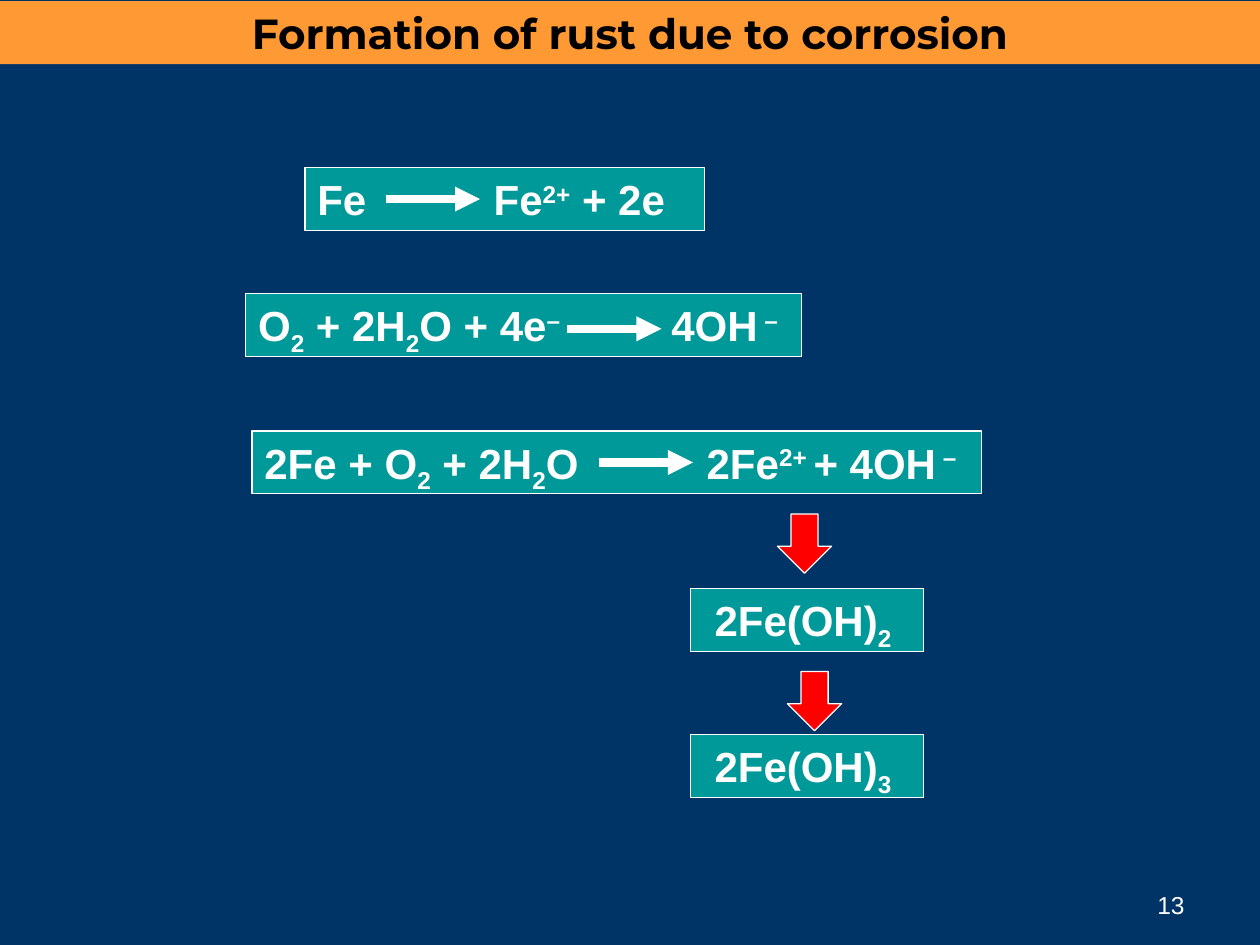
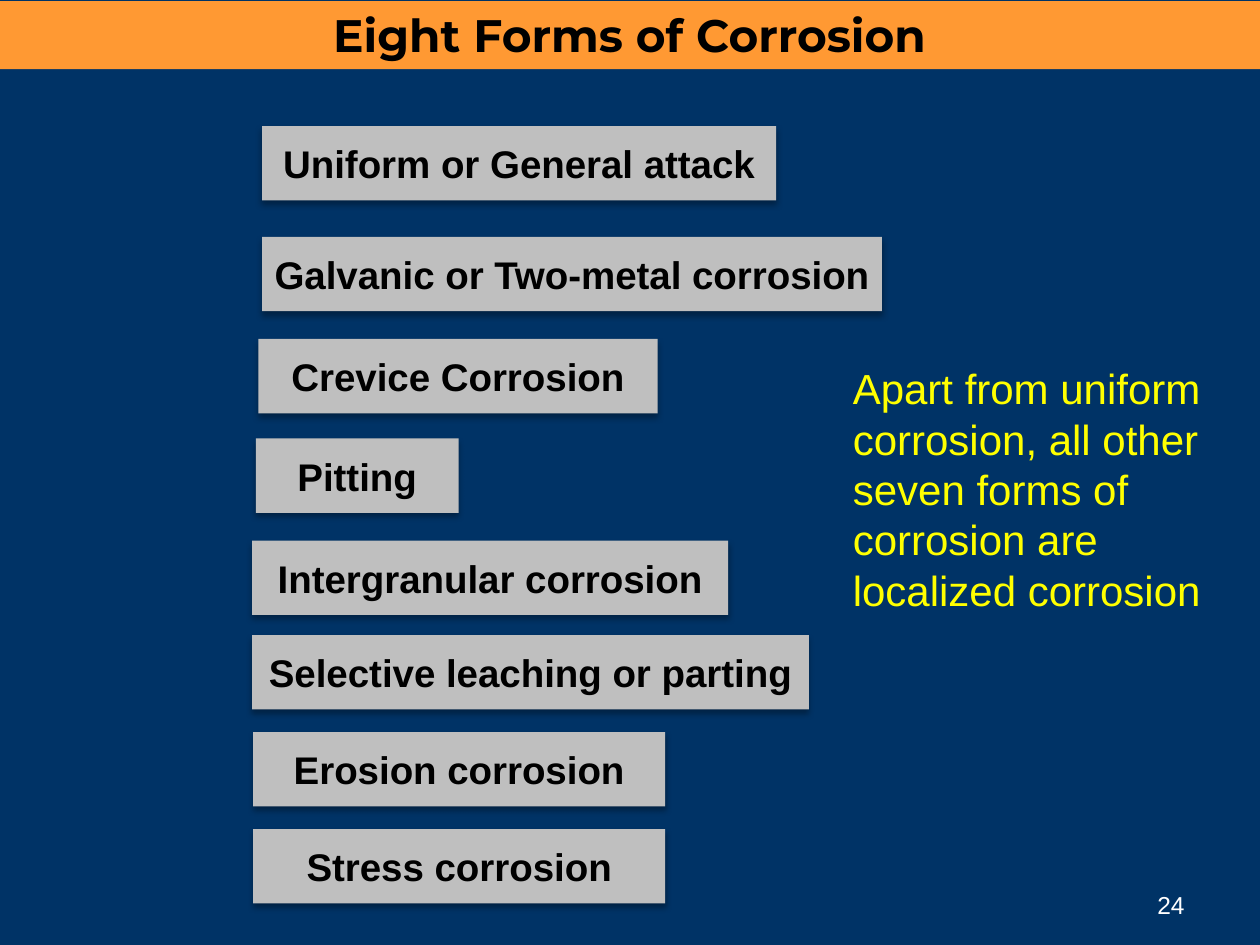
from lxml import etree
from pptx import Presentation
from pptx import util as u
from pptx.dml.color import RGBColor
from pptx.enum import shapes, text
from pptx.oxml import ns

NAVY = RGBColor(0x00, 0x33, 0x66)
ORANGE = RGBColor(0xFF, 0x99, 0x33)
TEAL = RGBColor(0x00, 0x99, 0x99)
RED = RGBColor(0xFF, 0x00, 0x00)
GREY = RGBColor(0xBF, 0xBF, 0xBF)
YELLOW = RGBColor(0xFF, 0xFF, 0x00)
WHITE = RGBColor(0xFF, 0xFF, 0xFF)
BLACK = RGBColor(0x00, 0x00, 0x00)

SUP, SUB = 30, -25
LEFT, CENTER, RIGHT = text.PP_ALIGN.LEFT, text.PP_ALIGN.CENTER, text.PP_ALIGN.RIGHT
TOP, MIDDLE, BOTTOM = text.MSO_ANCHOR.TOP, text.MSO_ANCHOR.MIDDLE, text.MSO_ANCHOR.BOTTOM


def add_block(page, kind, left, top, width, height, fill, line=None):
    """Add a filled preset shape without shadow; line is an outline colour."""
    block = page.shapes.add_shape(kind, u.Inches(left), u.Inches(top),
                                  u.Inches(width), u.Inches(height))
    block.shadow.inherit = False
    block.fill.solid()
    block.fill.fore_color.rgb = fill
    if line is None:
        block.line.fill.background()
    else:
        block.line.color.rgb = line
        block.line.width = u.Pt(0.75)
    return block


def write(box, spans, size, color, bold=True, font="Arial", align=LEFT, anchor=TOP):
    """Write one paragraph; each span is (words, baseline in percent)."""
    frame = box.text_frame
    frame.word_wrap = True
    frame.vertical_anchor = anchor
    para = frame.paragraphs[0]
    para.alignment = align
    for words, baseline in spans:
        span = para.add_run()
        span.text = words
        span.font.name = font
        span.font.size = u.Pt(size)
        span.font.bold = bold
        span.font.color.rgb = color
        if baseline:
            span.font._element.set("baseline", str(baseline * 1000))
    return para


deck = Presentation()
deck.slide_width, deck.slide_height = u.Inches(10), u.Inches(7.5)
RECT = shapes.MSO_SHAPE.RECTANGLE

# Shared look: background, page number, title band
pages = []
for title, size, band_height, number in (
        ("Formation of rust due to corrosion", 24, 0.5, "13"),
        ("Eight Forms of Corrosion", 26, 0.54, "24")):
    page = deck.slides.add_slide(deck.slide_layouts[6])
    page.background.fill.solid()
    page.background.fill.fore_color.rgb = NAVY
    number_box = page.shapes.add_textbox(u.Inches(7.17), u.Inches(6.83),
                                         u.Inches(2.33), u.Inches(0.52))
    write(number_box, [(number, 0)], 14, WHITE, bold=False, align=RIGHT, anchor=BOTTOM)
    band = add_block(page, RECT, 0, 0.01, 10, band_height, ORANGE)
    write(band, [(title, 0)], size, BLACK, font="Montserrat", align=CENTER)
    pages.append(page)
rust, forms = pages

# Reactions: left, top, width, tab stop after the arrow, arrow start, spans
reactions = [
    (2.42, 1.33, 3.17, 1.4, (3.06, 1.58),
     [("Fe\tFe", 0), ("2+", SUP), (" + 2e", 0)]),
    (1.95, 2.33, 4.41, 3.28, (4.5, 2.61),
     [("O", 0), ("2", SUB), (" + 2H", 0), ("2", SUB), ("O + 4e", 0), ("–", SUP),
      ("\t4OH", 0), (" –", SUP)]),
    (2, 3.42, 5.79, 3.51, (4.75, 3.67),
     [("2Fe + O", 0), ("2", SUB), (" + 2H", 0), ("2", SUB), ("O\t2Fe", 0),
      ("2+ ", SUP), ("+ 4OH", 0), (" –", SUP)]),
]
for left, top, width, tab, (start, middle), spans in reactions:
    box = add_block(rust, RECT, left, top, width, 0.5, TEAL, WHITE)
    para = write(box, spans, 24, WHITE)
    tabs = etree.SubElement(para._p.get_or_add_pPr(), ns.qn("a:tabLst"))
    etree.SubElement(tabs, ns.qn("a:tab"), pos=str(u.Inches(tab)), algn="l")

    arrow = rust.shapes.add_connector(
        shapes.MSO_CONNECTOR.STRAIGHT, u.Inches(start), u.Inches(middle),
        u.Inches(start + 0.75), u.Inches(middle))
    arrow.line.color.rgb = WHITE
    arrow.line.width = u.Pt(4.75)
    etree.SubElement(arrow.line._get_or_add_ln(), ns.qn("a:tailEnd"), type="triangle")
    etree.SubElement(arrow._element.spPr, ns.qn("a:effectLst"))

# Hydroxides, each below a red arrow
for top, count, arrow_left, arrow_top in ((4.67, "2", 6.15, 4.1), (5.83, "3", 6.23, 5.35)):
    box = add_block(rust, RECT, 5.48, top, 1.85, 0.5, TEAL, WHITE)
    write(box, [(" 2Fe(OH)", 0), (count, SUB)], 24, WHITE)
    down = add_block(rust, shapes.MSO_SHAPE.RIGHT_ARROW, arrow_left, arrow_top,
                     0.47, 0.43, RED, WHITE)
    down.rotation = 90

# Forms of corrosion, on grey plates with a soft shadow
plates = [
    ("Uniform or General attack", 2.08, 1, 4.08),
    ("Galvanic or Two-metal corrosion", 2.08, 1.88, 4.92),
    ("Crevice Corrosion", 2.05, 2.69, 3.17),
    ("Pitting", 2.03, 3.48, 1.61),
    ("Intergranular corrosion", 2, 4.29, 3.78),
    ("Selective leaching or parting", 2, 5.04, 4.42),
    ("Erosion corrosion", 2.01, 5.81, 3.27),
    ("Stress corrosion", 2.01, 6.58, 3.27),
]
for words, left, top, width in plates:
    plate = add_block(forms, RECT, left, top, width, 0.59, GREY)
    write(plate, [(words, 0)], 22, BLACK, align=CENTER, anchor=MIDDLE)
    plate.text_frame.word_wrap = False
    effects = plate._element.spPr.find(ns.qn("a:effectLst"))
    shadow = etree.SubElement(effects, ns.qn("a:outerShdw"), blurRad=str(u.Pt(3.5)),
                              dist=str(u.Pt(2.2)), dir="5400000", rotWithShape="0")
    shade = etree.SubElement(shadow, ns.qn("a:srgbClr"), val=str(BLACK))
    etree.SubElement(shade, ns.qn("a:alpha"), val="32000")

# Remark beside the plates
remark = forms.shapes.add_textbox(u.Inches(6.67), u.Inches(2.83), u.Inches(3), u.Inches(2.39))
write(remark, [("Apart from uniform corrosion, all other seven forms of corrosion "
                "are localized corrosion", 0)], 24, YELLOW, bold=False)

deck.save("out.pptx")
